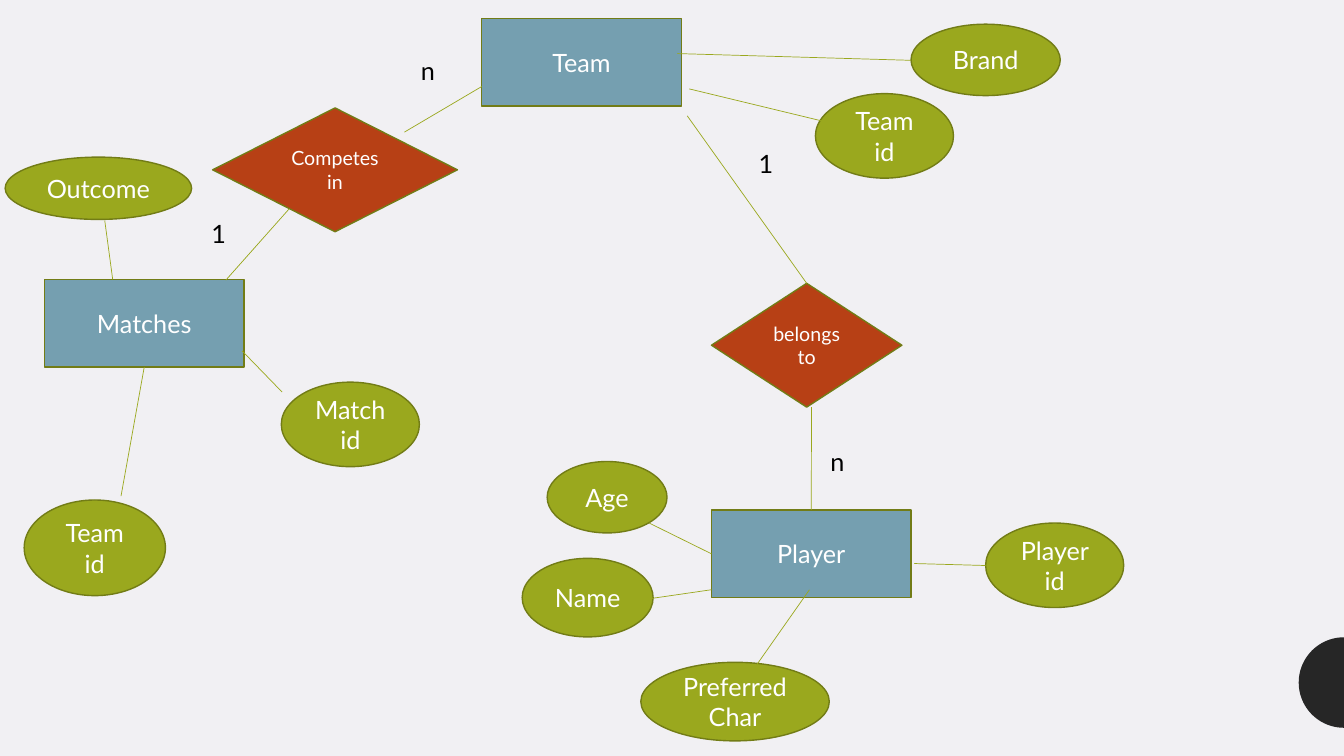
from math import cos, pi, sin

from lxml import etree
from pptx import Presentation
from pptx.dml.color import RGBColor
from pptx.enum.shapes import MSO_CONNECTOR as Connector, MSO_SHAPE as Preset
from pptx.enum.text import MSO_ANCHOR as Anchor, MSO_AUTO_SIZE as AutoSize, PP_ALIGN as Align
from pptx.oxml.ns import qn
from pptx.util import Cm, Pt

BACKGROUND = RGBColor(0xF1, 0xF0, 0xF3)
DARK = RGBColor(0x26, 0x26, 0x26)
BLUE = RGBColor(0x75, 0x9F, 0xB0)
GREEN = RGBColor(0x9A, 0xA8, 0x1E)
RED = RGBColor(0xB7, 0x40, 0x15)
OUTLINE = RGBColor(0x72, 0x7C, 0x16)
WHITE = RGBColor(0xFF, 0xFF, 0xFF)
BLACK = RGBColor(0x00, 0x00, 0x00)
FONT = "Lato"
SLIDE_SIZE = (33.87, 19.05)

# Content, in centimetres: key: (text lines, left, top, width, height)
ENTITY_SIZE = (5.03, 2.21)
ID_SIZE = (3.48, 2.13)
ENTITIES = {
    "team": (["Team"], 12.14, 0.46, *ENTITY_SIZE),
    "matches": (["Matches"], 1.12, 7.04, *ENTITY_SIZE),
    "player": (["Player"], 17.93, 12.85, *ENTITY_SIZE),
}
ATTRIBUTES = {
    "outcome": (["Outcome"], 0.13, 3.96, 4.7, 1.57),
    "matches team id": (["Team", "id"], 0.61, 12.6, 3.56, 2.41),
    "age": (["Age"], 13.79, 11.63, 3.02, 1.8),
    "name": (["Name"], 13.16, 14.07, 3.3, 1.98),
    "preferred char": (["Preferred Char"], 16.15, 16.69, 4.75, 1.98),
    "brand": (["Brand"], 22.96, 0.61, 3.76, 1.8),
    "match id": (["Match id"], 7.09, 9.63, *ID_SIZE),
    "player id": (["Player id"], 24.84, 13.18, *ID_SIZE),
    "team id": (["Team id"], 20.55, 2.36, *ID_SIZE),
}
RELATIONSHIPS = {
    "belongs to": (["belongs to"], 17.93, 7.14, 4.8, 3.12),
    "competes in": (["Competes in"], 5.36, 2.72, 6.17, 3.12),
}
CARDINALITIES = [  # text, left, top, width
    ("1", 5.08, 5.38, 1.12),
    ("n", 10.36, 1.27, 1.02),
    ("1", 18.87, 3.61, 1.12),
    ("n", 20.68, 11.13, 1.02),
]
# Start point, end point, joined start, joined end (shape key, side)
LINKS = [
    ((5.69, 7.06), (7.29, 5.26), None, None),
    ((20.33, 7.14), (17.32, 2.92), ("belongs to", 0), None),
    ((17.93, 13.96), (16.36, 13.18), ("player", 1), None),
    ((19.08, 16.74), (20.4, 14.86), None, None),
    ((16.21, 15.11), (17.93, 14.86), None, None),
    ((3.05, 12.5), (3.63, 9.25), None, ("matches", 2)),
    ((2.84, 7.04), (2.64, 5.56), None, None),
    ((20.45, 12.85), (20.45, 10.26), ("player", 0), None),
    ((10.19, 3.33), (12.14, 2.18), None, None),
    ((22.96, 1.52), (17.07, 1.35), None, None),
    ((7.11, 9.88), (6.1, 8.84), None, None),
    ((24.84, 14.25), (23.04, 14.2), None, None),
    ((20.93, 3.1), (17.37, 2.24), None, None),
]
KINDS = [
    (ENTITIES, Preset.RECTANGLE, BLUE, 18),
    (ATTRIBUTES, Preset.OVAL, GREEN, 18),
    (RELATIONSHIPS, Preset.FLOWCHART_DECISION, RED, 14),
]


def write(frame, lines, size, color, align):
    frame.word_wrap = True
    for index, line in enumerate(lines):
        paragraph = frame.add_paragraph() if index else frame.paragraphs[0]
        paragraph.alignment = align
        run = paragraph.add_run()
        run.text = line
        run.font.name = FONT
        run.font.size = Pt(size)
        run.font.color.rgb = color


def add_node(slide, preset, fill, size, lines, *box):
    shape = slide.shapes.add_shape(preset, *map(Cm, box))
    shape.shadow.inherit = False
    shape.fill.solid()
    shape.fill.fore_color.rgb = fill
    shape.line.color.rgb = OUTLINE
    shape.line.width = Pt(1)
    shape.text_frame.vertical_anchor = Anchor.MIDDLE
    write(shape.text_frame, lines, size, WHITE, Align.CENTER)
    return shape


def add_link(slide, nodes, start, end, start_joint, end_joint):
    link = slide.shapes.add_connector(Connector.STRAIGHT, *map(Cm, start + end))
    link.line.color.rgb = GREEN
    link.line.width = Pt(0.5)
    etree.SubElement(link._element.spPr, qn("a:effectLst"))
    if start_joint:
        link.begin_connect(nodes[start_joint[0]], start_joint[1])
    if end_joint:
        link.end_connect(nodes[end_joint[0]], end_joint[1])


def add_half_disc(slide, center_x, center_y, radius, steps=48):
    angles = [pi / 2 + pi * step / steps for step in range(steps + 1)]
    points = [(Cm(center_x + radius * cos(angle)), Cm(center_y + radius * sin(angle)))
              for angle in angles]
    builder = slide.shapes.build_freeform(*points[0])
    builder.add_line_segments(points[1:], close=True)
    half_disc = builder.convert_to_shape()
    half_disc.shadow.inherit = False
    half_disc.fill.solid()
    half_disc.fill.fore_color.rgb = DARK
    half_disc.line.fill.background()


def main():
    presentation = Presentation()
    presentation.slide_width, presentation.slide_height = map(Cm, SLIDE_SIZE)
    slide = presentation.slides.add_slide(presentation.slide_layouts[6])
    slide.background.fill.solid()
    slide.background.fill.fore_color.rgb = BACKGROUND

    # Half disc on the right edge
    add_half_disc(slide, SLIDE_SIZE[0], 17.2, 1.14)

    # Entities, attributes and relationships
    nodes = {}
    for group, preset, fill, size in KINDS:
        for key, node in group.items():
            nodes[key] = add_node(slide, preset, fill, size, *node)

    # Links between them
    for link in LINKS:
        add_link(slide, nodes, *link)

    # Cardinalities
    for text, left, top, width in CARDINALITIES:
        label = slide.shapes.add_textbox(Cm(left), Cm(top), Cm(width), Cm(1.02))
        write(label.text_frame, [text], 18, BLACK, Align.LEFT)
        label.text_frame.auto_size = AutoSize.SHAPE_TO_FIT_TEXT

    presentation.save("out.pptx")


if __name__ == "__main__":
    main()
